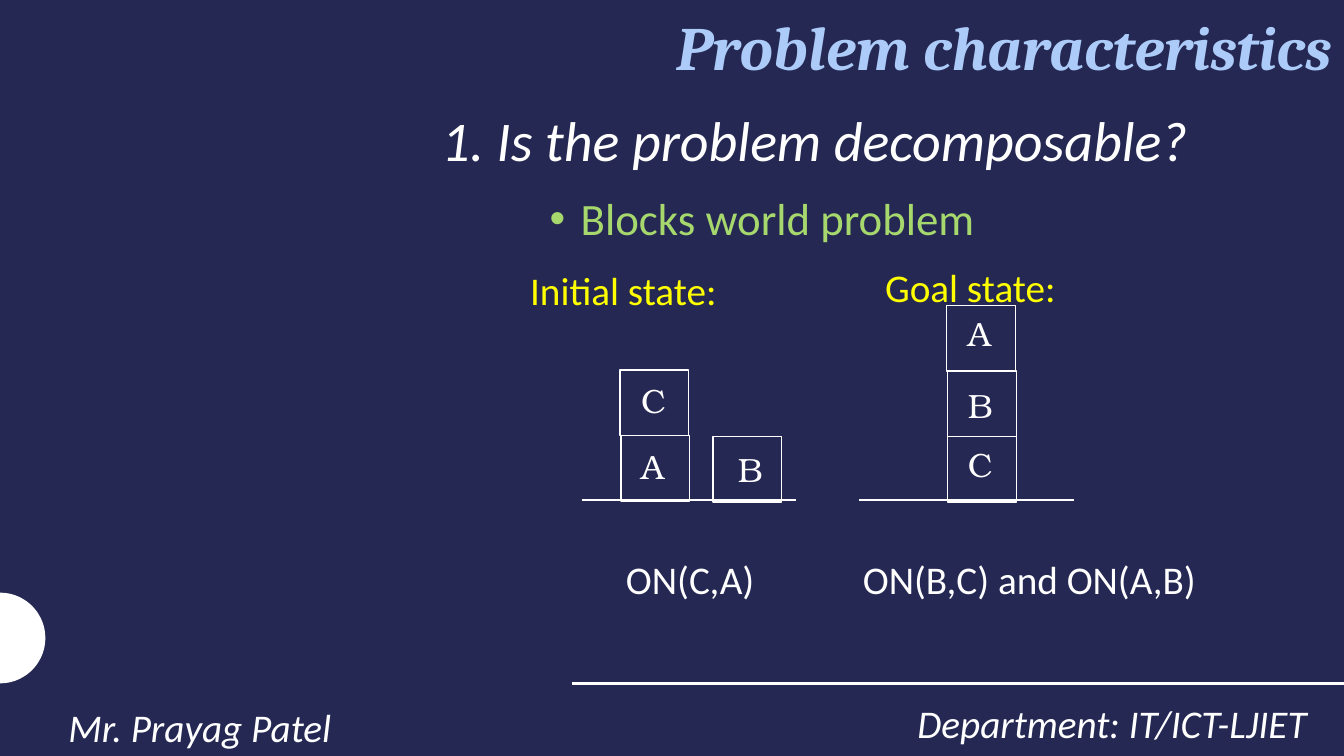
import math
from lxml import etree
from pptx import Presentation
from pptx.dml.color import RGBColor
from pptx.enum.shapes import MSO_CONNECTOR, MSO_SHAPE
from pptx.enum.text import MSO_ANCHOR, MSO_AUTO_SIZE, PP_ALIGN
from pptx.oxml.ns import qn
from pptx.util import Inches, Pt

LEFT, CENTER, RIGHT = PP_ALIGN.LEFT, PP_ALIGN.CENTER, PP_ALIGN.RIGHT
TOP, MIDDLE = MSO_ANCHOR.TOP, MSO_ANCHOR.MIDDLE
NO_FIT = MSO_AUTO_SIZE.NONE
RECT, STRAIGHT = MSO_SHAPE.RECTANGLE, MSO_CONNECTOR.STRAIGHT

COLORS = {
    "navy": "242852",
    "white": "FFFFFF",
    "sky": "ACCBF9",
    "green": "A6D86E",
    "yellow": "FFFF00",
}
SANS, SERIF, BLOCK = "Calibri", "Cambria", "TeX Gyre Bonum"
SIDE_W, SIDE_H = 0.68, 0.65


class Board:
    def __init__(self, slide):
        self.slide = slide
        self.shapes = slide.shapes
        fill = slide.background.fill
        fill.solid()
        fill.fore_color.rgb = self.color("navy")

    def color(self, name):
        return RGBColor.from_string(COLORS[name])

    def label(self, shape, text, size, color="white", font=SANS, align=LEFT,
              anchor=TOP, space=1.0, bold=False, italic=False, wrap=True):
        frame = shape.text_frame
        frame.text = text
        frame.word_wrap = wrap
        frame.auto_size = NO_FIT
        frame.vertical_anchor = anchor
        para = frame.paragraphs[0]
        para.alignment = align
        para.line_spacing = space
        para.space_before = para.space_after = Pt(0)
        for run in para.runs:
            style = run.font
            style.name, style.size = font, Pt(size)
            style.bold, style.italic = bold, italic
            style.color.rgb = self.color(color)
        return para

    def text(self, box, text, size, **style):
        shape = self.shapes.add_textbox(*map(Inches, box))
        return self.label(shape, text, size, **style)

    def holder(self, index, box, text, size, **style):
        """Move a template placeholder to box and fill it."""
        shape = self.slide.placeholders[index]
        shape.left, shape.top, shape.width, shape.height = map(Inches, box)
        return self.label(shape, text, size, **style)

    def bullet(self, para, indent):
        props = para._p.get_or_add_pPr()
        props.set("marL", str(Inches(indent)))
        props.set("indent", str(-Inches(indent)))
        etree.SubElement(props, qn("a:buFont")).set("typeface", "Arial")
        etree.SubElement(props, qn("a:buChar")).set("char", "•")

    def tab(self, para, place):
        props = para._p.get_or_add_pPr()
        stops = etree.SubElement(props, qn("a:tabLst"))
        stop = etree.SubElement(stops, qn("a:tab"))
        stop.set("pos", str(Inches(place)))
        stop.set("algn", "l")

    def line(self, x1, x2, y, width):
        ends = map(Inches, (x1, y, x2, y))
        line = self.shapes.add_connector(STRAIGHT, *ends)
        line.line.color.rgb = self.color("white")
        line.line.width = Pt(width)
        etree.SubElement(line._element.spPr, qn("a:effectLst"))

    def half_disc(self, y, radius):
        """Draw a half disc that bulges right from the left slide edge."""
        angles = [math.radians(a) for a in range(-90, 91, 5)]
        points = [(Inches(radius * math.cos(a)),
                   Inches(y + radius * math.sin(a))) for a in angles]
        outline = self.shapes.build_freeform(*points[0])
        outline.add_line_segments(points[1:], close=True)
        disc = outline.convert_to_shape()
        disc.shadow.inherit = False
        disc.fill.solid()
        disc.fill.fore_color.rgb = self.color("white")
        disc.line.fill.background()

    def block(self, letter, x, y, dx, dy):
        """Draw a block with its letter box set dx, dy inside it."""
        box = map(Inches, (x, y, SIDE_W, SIDE_H))
        block = self.shapes.add_shape(RECT, *box)
        block.shadow.inherit = False
        block.fill.background()
        block.line.color.rgb = self.color("white")
        block.line.width = Pt(1)
        self.text((x + dx, y + dy, 0.41, 0.5), letter, 24,
                  font=BLOCK, wrap=False)


def main():
    deck = Presentation()
    deck.slide_width, deck.slide_height = Inches(13.33), Inches(7.5)
    board = Board(deck.slides.add_slide(deck.slide_layouts[1]))

    board.half_disc(6.33, 0.45)
    board.line(5.67, 13.33, 6.78, 2)
    board.text((7.94, 6.82, 5.12, 0.63), "Department: IT/ICT-LJIET", 28,
               align=RIGHT, space=1.14, italic=True)
    board.text((0.58, 6.86, 6, 0.63), "Mr. Prayag Patel", 28,
               space=1.14, italic=True)

    board.holder(0, (2.33, 1.07, 11.5, 0.89),
                 "1. Is the problem decomposable?", 40,
                 align=CENTER, space=0.9, italic=True)
    topic = board.holder(1, (5.35, 1.78, 7.58, 0.68),
                         "Blocks world problem", 32,
                         color="green", space=1.12)
    board.bullet(topic, 0.31)

    blocks = [
        ("C", 6.15, 3.67, 0.11, 0.05),
        ("A", 6.16, 4.32, 0.1, 0.05),
        ("B", 7.07, 4.33, 0.15, 0.07),
        ("A", 9.39, 3.03, 0.11, 0.03),
        ("B", 9.4, 3.68, 0.1, 0.09),
        ("C", 9.4, 4.33, 0.1, 0.02),
    ]
    for block in blocks:
        board.block(*block)

    states = [("Initial state:", 5.16, 2.59, 5.77),
              ("Goal state:", 8.68, 2.56, 8.52)]
    for name, x, y, ground in states:
        board.text((x, y, 2.46, 0.57), name, 28, color="yellow")
        board.line(ground, ground + 2.13, 4.96, 1.5)

    facts = board.text((6.11, 5.46, 6.78, 0.57),
                       "ON(C,A)\tON(B,C) and ON(A,B)", 28)
    board.tab(facts, 2.35)
    board.text((2.25, 0.01, 11.06, 0.9), "Problem characteristics", 44,
               color="sky", font=SERIF, align=RIGHT, anchor=MIDDLE,
               bold=True, italic=True)
    deck.save("out.pptx")


if __name__ == "__main__":
    main()
